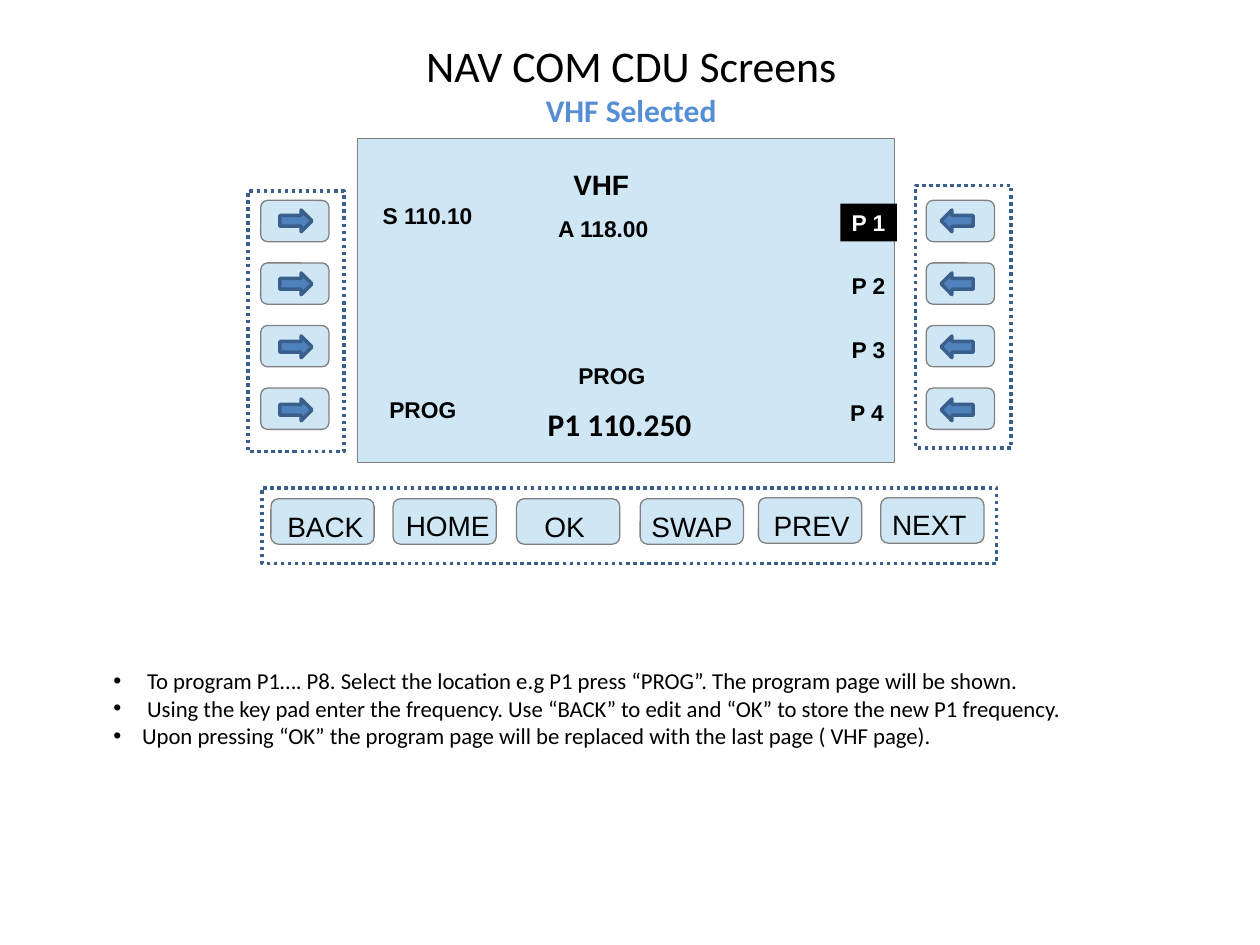
from dataclasses import dataclass

from lxml.etree import SubElement
from pptx import Presentation
from pptx.dml.color import RGBColor
from pptx.enum.dml import MSO_LINE
from pptx.enum.shapes import MSO_SHAPE
from pptx.enum.text import PP_ALIGN
from pptx.oxml.ns import qn
from pptx.util import Pt


@dataclass(frozen=True)
class Theme:
    panel: str = "CFE7F5"
    panel_line: str = "808080"
    arrow: str = "4F81BD"
    arrow_line: str = "3A5F8C"
    subtitle: str = "558ED5"
    black: str = "000000"
    white: str = "FFFFFF"
    title_size: float = 25
    large_size: float = 18
    key_size: float = 16
    body_size: float = 13


theme = Theme()


def add_box(kind, left, top, width, height, fill, line, line_width=0):
    shape = slide.shapes.add_shape(kind, Pt(left), Pt(top), Pt(width), Pt(height))
    shape.shadow.inherit = False
    if fill:
        shape.fill.solid()
        shape.fill.fore_color.rgb = RGBColor.from_string(fill)
    else:
        shape.fill.background()
    if line:
        shape.line.color.rgb = RGBColor.from_string(line)
        shape.line.width = Pt(line_width)
    else:
        shape.line.fill.background()
    return shape


def add_run(paragraph, text, size, font="Arial", bold=False, color=theme.black):
    run = paragraph.add_run()
    run.text = text
    run.font.size = Pt(size)
    run.font.name = font
    run.font.bold = bold
    run.font.color.rgb = RGBColor.from_string(color)


presentation = Presentation()
presentation.slide_width, presentation.slide_height = Pt(720), Pt(540)
slide = presentation.slides.add_slide(presentation.slide_layouts[6])

# Title and subtitle
frame = slide.shapes.add_textbox(Pt(36.7), Pt(18.6), Pt(648), Pt(60)).text_frame
frame.word_wrap = True
paragraph = frame.paragraphs[0]
paragraph.alignment = PP_ALIGN.CENTER
add_run(paragraph, "NAV COM CDU Screens", theme.title_size, "Calibri")
paragraph.add_line_break()
add_run(paragraph, "VHF Selected", theme.large_size, "Calibri", True, theme.subtitle)

# Display screen
add_box(MSO_SHAPE.RECTANGLE, 204.5, 79.2, 306.7, 185, theme.panel, theme.panel_line)

# Side keys with arrows pointing at the screen
for key_left, arrow_left, arrow_kind in (
    (149, 160, MSO_SHAPE.RIGHT_ARROW),
    (529.3, 537.8, MSO_SHAPE.LEFT_ARROW),
):
    for row in range(4):
        add_box(MSO_SHAPE.ROUNDED_RECTANGLE, key_left, 114.5 + 35.75 * row, 39, 23.6,
                theme.panel, theme.panel_line)
        add_box(arrow_kind, arrow_left, 120 + 36 * row, 18.3, 12.4,
                theme.arrow, theme.arrow_line, 2)

# Dotted frames around the key groups
for bounds in ((141.8, 109.2, 54.7, 149), (523.2, 106, 54.7, 150), (149.8, 278.8, 419.8, 43.2)):
    key_frame = add_box(MSO_SHAPE.RECTANGLE, *bounds, None, theme.arrow_line, 2)
    key_frame.line.dash_style = MSO_LINE.ROUND_DOT

# Bottom keys: key left, key top
for key_left, key_top in (
    (154.8, 285), (224.6, 285), (295.2, 285), (365.8, 285), (433.4, 284.4), (503.3, 284.4),
):
    add_box(MSO_SHAPE.ROUNDED_RECTANGLE, key_left, key_top, 59, 26,
            theme.panel, theme.panel_line)

# Highlighted preset
selected_preset = add_box(MSO_SHAPE.RECTANGLE, 480.2, 116.4, 32.4, 21.6, theme.black, None)
frame = selected_preset.text_frame
frame.margin_left = frame.margin_right = Pt(6.5)
frame.margin_top = frame.margin_bottom = Pt(3)
frame.word_wrap = False
frame.paragraphs[0].alignment = PP_ALIGN.LEFT
add_run(frame.paragraphs[0], "P 1", theme.body_size, bold=True, color=theme.white)

# Key and screen labels: text, left, top, width, (height, size, font, bold)
key_style = (25.2, theme.key_size, "Arial", False)
value_style = (21.6, theme.body_size, "Arial", True)
for text, left, top, width, (height, size, font, bold) in (
    ("BACK", 157.7, 288, 60, key_style),
    ("HOME", 225.4, 287.6, 64, key_style),
    ("OK", 304.6, 288, 44, key_style),
    ("SWAP", 365.8, 288, 64, key_style),
    ("PREV", 435.6, 287.6, 60, key_style),
    ("NEXT", 503.3, 287, 60, key_style),
    ("VHF", 321.1, 92.9, 45.4, (25.2, theme.key_size, "Arial", True)),
    ("A 118.00", 312.5, 119.5, 68.4, value_style),
    ("S 110.10", 212.2, 112.3, 64.8, value_style),
    ("PROG", 324, 204, 51.8, value_style),
    ("PROG", 216, 223.4, 51.8, value_style),
    ("P 2", 480.2, 152.2, 32.4, value_style),
    ("P 3", 480.2, 188.6, 32.4, value_style),
    ("P 4", 479.3, 224.9, 32.4, value_style),
    ("P1 110.250", 306.4, 228.2, 97.2, (28.8, theme.large_size, "Calibri", True)),
):
    label = slide.shapes.add_textbox(Pt(left), Pt(top), Pt(width), Pt(height))
    frame = label.text_frame
    frame.margin_left = frame.margin_right = Pt(6.5)
    frame.margin_top = frame.margin_bottom = Pt(3)
    frame.word_wrap = False
    add_run(frame.paragraphs[0], text, size, font, bold)

# Instructions
instructions = (
    ("To program P1…. P8. Select the location e.g P1 press “PROG”. "
     "The program page will be shown.", 19.3),
    ("Using the key pad enter the frequency. Use “BACK” to edit and “OK” "
     "to store the new P1 frequency.", 19.3),
    ("Upon pressing “OK” the program page will be replaced with the last page ( VHF page).", 16.4),
)
frame = slide.shapes.add_textbox(Pt(58.3), Pt(377.7), Pt(559.4), Pt(54)).text_frame
frame.margin_left = frame.margin_right = Pt(6.5)
frame.word_wrap = True
for index, (text, indent) in enumerate(instructions):
    paragraph = frame.add_paragraph() if index else frame.paragraphs[0]
    add_run(paragraph, text, theme.body_size, "Calibri")
    properties = paragraph._p.get_or_add_pPr()
    properties.set("marL", str(Pt(indent)))
    properties.set("indent", str(-Pt(indent)))
    SubElement(properties, qn("a:buFont"), typeface="Arial")
    SubElement(properties, qn("a:buChar"), char="•")

presentation.save("out.pptx")
